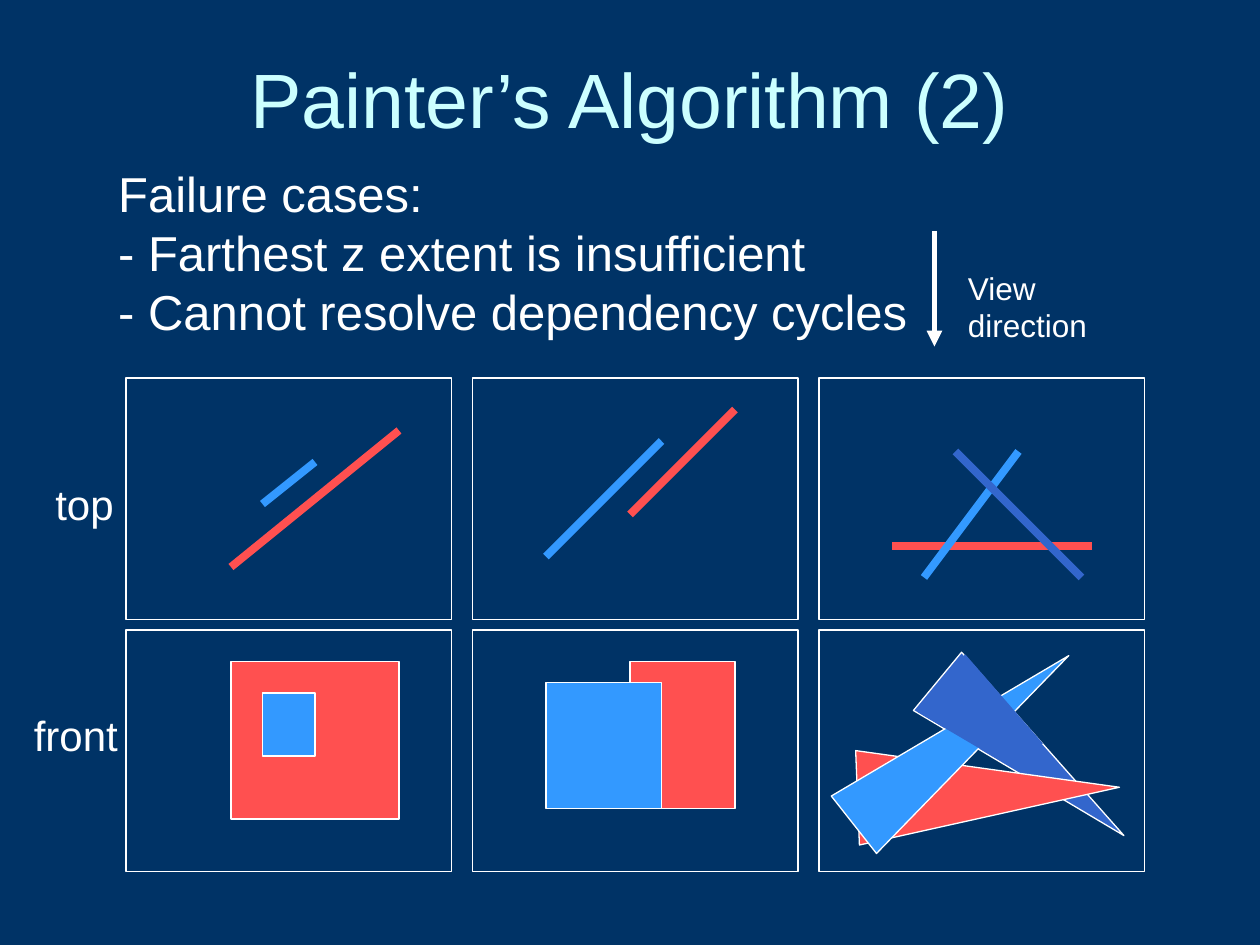
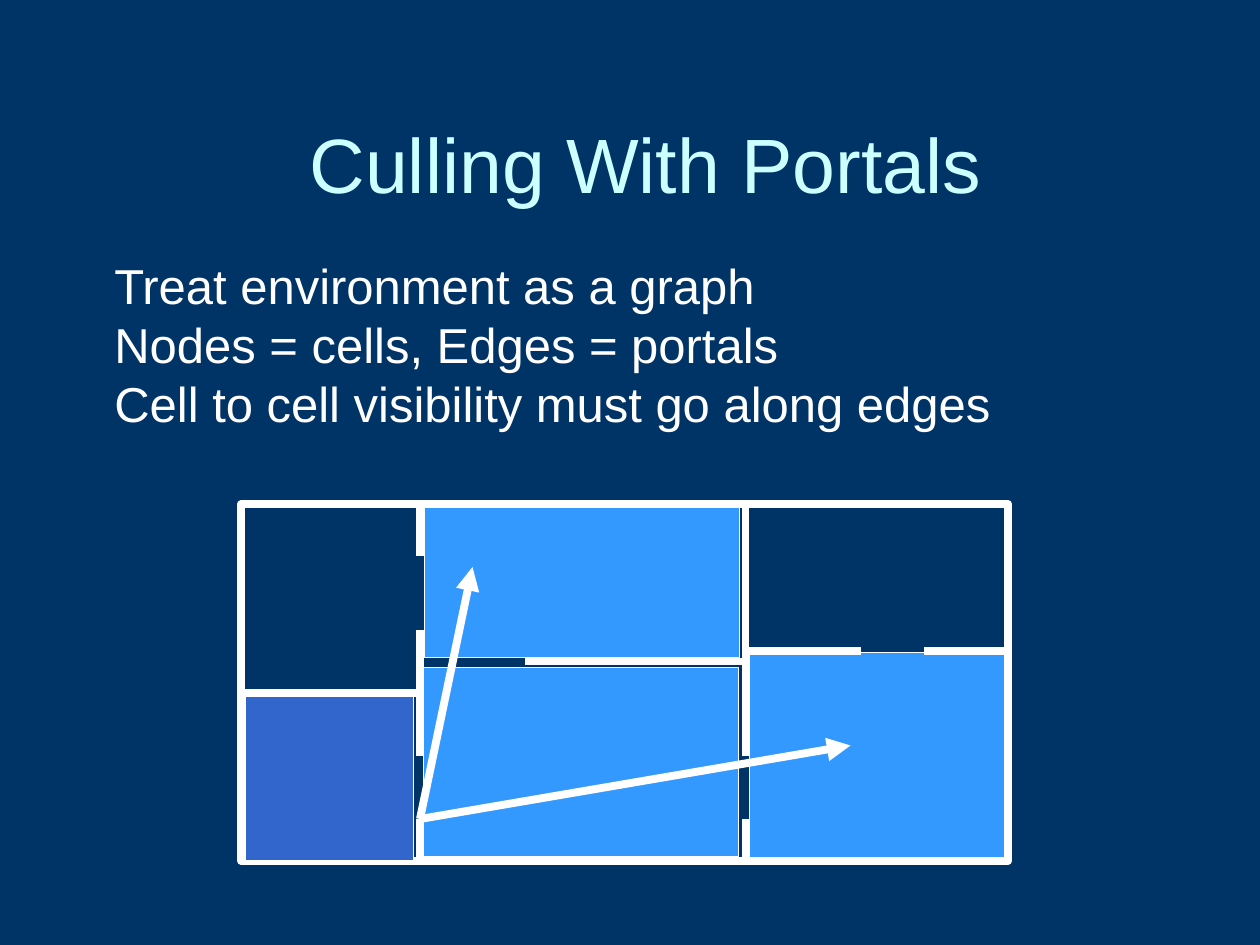
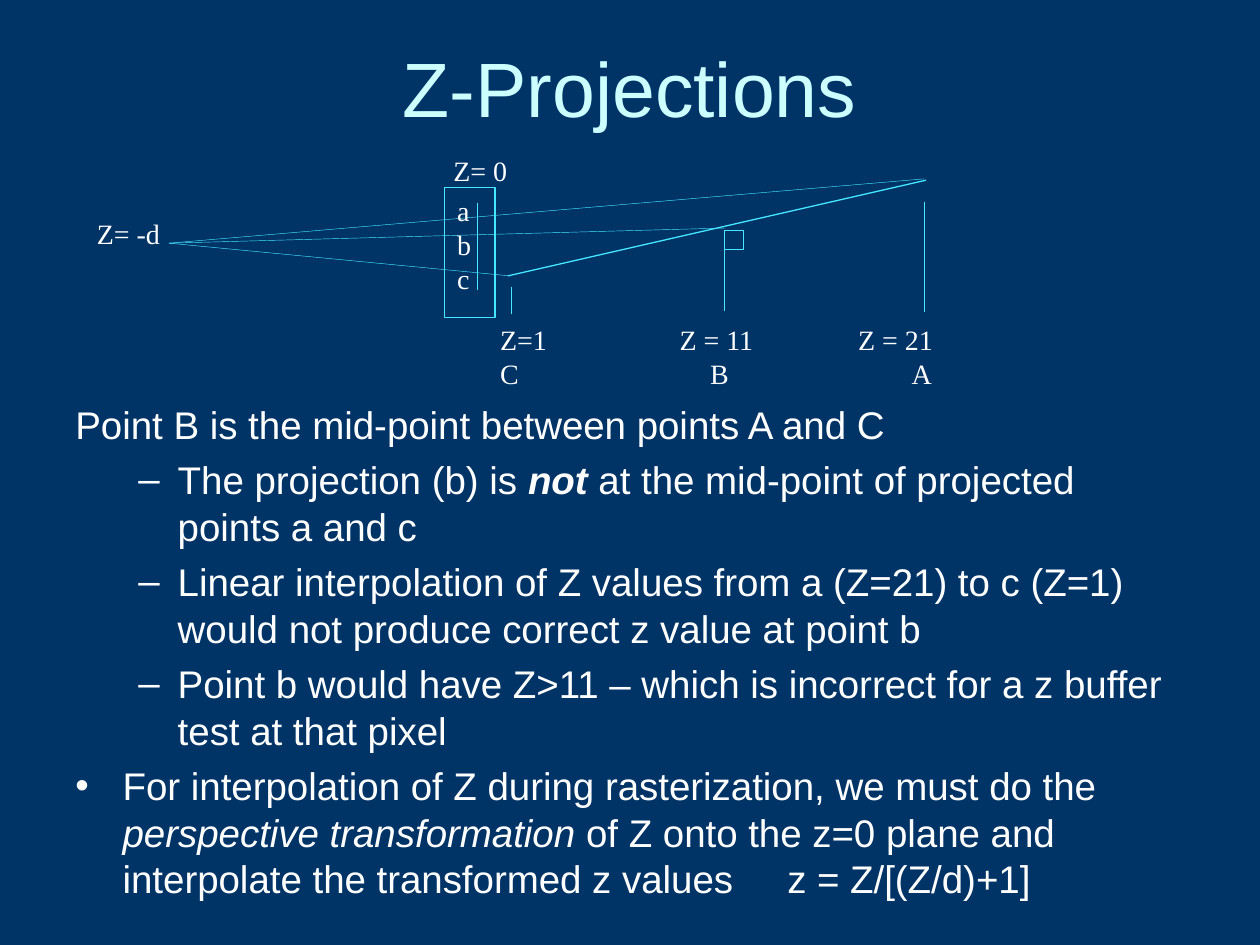
from dataclasses import dataclass
from typing import Iterable

from lxml import etree
from pptx import Presentation
from pptx import util as u
from pptx.dml.color import RGBColor
from pptx.enum import shapes, text
from pptx.oxml.ns import qn

# Shared look: a grid of 120 columns and 90 rows covers each slide
COLS, ROWS = 120, 90
WIDE, HIGH = u.Inches(10), u.Inches(7.5)
NAVY, MINT, WHITE = "003366", "CCFFFF", "FFFFFF"
RED, SKY, BLUE, CYAN = "FF5050", "3399FF", "3366CC", "46E8FF"
SANS, SERIF = "Arial", "Times New Roman"
THIN, HAIR, THICK = 0.75, 0.25, 4.5


@dataclass(frozen=True)
class Box:
    x: float
    y: float
    w: float
    h: float
    fill: str = ""
    line: str = WHITE
    weight: float = THIN
    turn: float = 0
    kind: shapes.MSO_SHAPE = shapes.MSO_SHAPE.RECTANGLE


@dataclass(frozen=True)
class Line:
    x1: float
    y1: float
    x2: float
    y2: float
    color: str = WHITE
    weight: float = THICK
    arrow: bool = False


@dataclass(frozen=True)
class Run:
    words: str
    bold: bool = False
    slant: bool = False


@dataclass(frozen=True)
class Para:
    runs: tuple[Run, ...]
    left: float = 0
    hang: float = 0
    mark: str = ""
    space: float = 0
    stops: tuple[float, ...] = ()


@dataclass(frozen=True)
class Font:
    size: float
    face: str = SANS
    color: str = WHITE


def col(n: float) -> int:
    return round(WIDE * n / COLS)


def row(n: float) -> int:
    return round(HIGH * n / ROWS)


def rgb(code: str) -> RGBColor:
    return RGBColor.from_string(code)


def add(node, tag: str, **attrs):
    return etree.SubElement(node, qn(tag), {k: str(v) for k, v in attrs.items()})


def paint(shape, fill: str, line: str, weight: float) -> None:
    shape.shadow.inherit = False
    if fill:
        shape.fill.solid()
        shape.fill.fore_color.rgb = rgb(fill)
    else:
        shape.fill.background()
    shape.line.color.rgb = rgb(line)
    shape.line.width = u.Pt(weight)


def draw_box(slide, box: Box):
    shape = slide.shapes.add_shape(box.kind, col(box.x), row(box.y), col(box.w), row(box.h))
    paint(shape, box.fill, box.line, box.weight)
    shape.rotation = box.turn
    return shape


def draw_line(slide, line: Line) -> None:
    link = slide.shapes.add_connector(shapes.MSO_CONNECTOR.STRAIGHT, col(line.x1),
                                      row(line.y1), col(line.x2), row(line.y2))
    link.line.color.rgb = rgb(line.color)
    link.line.width = u.Pt(line.weight)
    if line.arrow:
        add(link.line._get_or_add_ln(), "a:tailEnd", type="triangle")
    add(link._element.spPr, "a:effectLst")


def draw(slide, parts: Iterable[Box | Line]) -> None:
    for part in parts:
        (draw_box if isinstance(part, Box) else draw_line)(slide, part)


def plain(*lines: str) -> list[Para]:
    return [Para((Run(line),)) for line in lines]


def write(frame, paras: list[Para], font: Font, align=text.PP_ALIGN.LEFT) -> None:
    for n, para in enumerate(paras):
        p = frame.add_paragraph() if n else frame.paragraphs[0]
        p.alignment = align
        p.space_before = u.Pt(para.space)
        props = p._p.get_or_add_pPr()
        if para.left:
            props.set("marL", str(col(para.left)))
            props.set("indent", str(-col(para.hang)))
        if para.mark:
            add(add(props, "a:buClr"), "a:srgbClr", val=font.color)
            add(props, "a:buFont", typeface=SANS)
            add(props, "a:buChar", char=para.mark)
        if para.stops:
            tabs = add(props, "a:tabLst")
            for stop in para.stops:
                add(tabs, "a:tab", pos=col(stop), algn="l")
        for run in para.runs:
            r = p.add_run()
            r.text = run.words
            r.font.name, r.font.size = font.face, u.Pt(font.size)
            r.font.color.rgb = rgb(font.color)
            r.font.bold, r.font.italic = run.bold, run.slant


def label(slide, x: float, y: float, w: float, h: float, paras: list[Para], font: Font):
    frame = slide.shapes.add_textbox(col(x), row(y), col(w), row(h)).text_frame
    frame.word_wrap = True
    write(frame, paras, font)
    return frame


def start(deck, title: str, x: float, y: float, w: float, h: float):
    slide = deck.slides.add_slide(deck.slide_layouts[6])
    frame = label(slide, x, y, w, h, [], Font(44))
    frame.vertical_anchor = text.MSO_ANCHOR.MIDDLE
    write(frame, plain(title), Font(44, color=MINT), text.PP_ALIGN.CENTER)
    return slide


# Slide 1: three failure cases, seen from the top and from the front
def painter(deck) -> None:
    slide = start(deck, "Painter’s Algorithm (2)", 6, 3.6, 108, 11.4)
    spike = shapes.MSO_SHAPE.ISOSCELES_TRIANGLE
    draw(slide, [Box(60, 63, 10, 14, RED), Box(22, 63, 16, 15, RED), Box(25, 66, 5, 6, SKY)])
    draw(slide, [Box(12 + 33 * c, 36 + 24 * r, 31, 23) for c in range(3) for r in range(2)])
    draw(slide, [
        Line(22, 54, 38, 41, RED),
        Line(25, 48, 30, 44, SKY),
        Line(52, 53, 63, 42, SKY),
        Line(60, 49, 70, 39, RED),
        Box(52, 65, 11, 12, SKY),
        Line(85, 52, 104, 52, RED),
        Line(88, 55, 97, 43, SKY),
        Line(91, 43, 103, 55, BLUE),
        Box(94.56, 60.72, 7.2, 23.04, BLUE, turn=129.6, kind=spike),
        Box(89.64, 63, 9, 24.96, RED, turn=87.7, kind=spike),
        Box(88.08, 57.48, 6.96, 26.04, SKY, turn=51.8, kind=spike),
    ])
    # Patch that closes the cycle of overlaps
    patch = [(col(x), row(y)) for x, y in
             ((87.48, 67.8), (97.08, 73.44), (99.24, 70.8), (91.92, 62.4))]
    form = slide.shapes.build_freeform(*patch[0])
    form.add_line_segments(patch[1:], close=True)
    paint(form.convert_to_shape(), BLUE, BLUE, 0)

    label(slide, 10.08, 15, 79, 18, plain(
        "Failure cases:",
        "- Farthest z extent is insufficient",
        "- Cannot resolve dependency cycles"), Font(28))
    label(slide, 4.08, 45, 9, 6, plain("top"), Font(24))
    label(slide, 2.04, 67, 12, 6, plain("front"), Font(24))
    label(slide, 91, 25, 16, 8.4, plain("View direction"), Font(18))
    draw(slide, [Line(89, 22, 89, 33, weight=3, arrow=True)])


# Slide 2: floor plan with cells, walls and lines of sight
def portals(deck) -> None:
    slide = start(deck, "Culling With Portals", 9, 8, 105, 15)
    label(slide, 9.72, 23.76, 95, 18, plain(
        "Treat environment as a graph",
        "Nodes = cells, Edges = portals",
        "Cell to cell visibility must go along edges"), Font(28))
    cells = [(71.4, 62.16, 24.6, 19.56), (40.44, 48, 30, 14.64), (40.32, 63.6, 30, 18)]
    draw(slide, [Box(*cell, SKY) for cell in cells])
    draw(slide, [Box(23, 48, 73, 34, weight=THICK)])
    upright = [(40, 48, 53), (40, 60, 66), (40, 66, 72), (40, 78, 82),
               (71, 48, 72), (71, 78, 82)]
    level = [(66, 23, 40), (62, 71, 82), (62, 88, 96), (63, 50, 71)]
    draw(slide, [Line(x, top, x, end) for x, top, end in upright])
    draw(slide, [Line(left, y, end, y) for y, left, end in level])
    draw(slide, [Box(23.4, 66.36, 15.96, 15.6, BLUE)])
    draw(slide, [Line(40, 78, x, y, arrow=True) for x, y in ((81, 71), (45, 54))])


# Slide 3: projection sketch above the notes on interpolation
def depth(deck) -> None:
    slide = start(deck, "Z-Projections", 6, 3.6, 108, 9.36)

    def dash(*runs: Run) -> Para:
        return Para(runs, 9.75, 3.75, "–", 5.5)

    label(slide, 6, 37.56, 108, 49.44, [
        Para((Run("Point B is the mid-point between points A and C"),), 4.5, 4.5),
        dash(Run("The projection (b) is "), Run("not", True, True),
             Run(" at the mid-point of projected points a and c")),
        dash(Run("Linear interpolation of Z values from a (Z=21) to c (Z=1) "
                 "would not produce correct z value at point b")),
        dash(Run("Point b would have Z>11 – which is incorrect for a z buffer "
                 "test at that pixel")),
        Para((Run("For interpolation of Z during rasterization, we must do the "),
              Run("perspective transformation ", slant=True),
              Run("of Z onto the z=0 plane and interpolate the transformed z values"
                  "\tz = Z/[(Z/d)+1]")), 4.5, 4.5, "•", 5.5, (67.8,)),
    ], Font(22))

    # Object, image plane, rays and depth marks
    rays = [(48.6, 26.28), (88, 17.04), (69, 21.72)]
    marks = [(48.72, 27.36, 29.88), (69, 23.64, 29.64), (88, 19.2, 29.76)]
    draw(slide, [Line(48.36, 26.28, 88.2, 17.16, CYAN, THIN),
                 Line(45.48, 19.32, 45.48, 27.6, CYAN, THIN)])
    draw(slide, [Line(x, y, 16.1, 23.16, CYAN, HAIR) for x, y in rays])
    draw(slide, [Line(x, top, x, end, CYAN, HAIR) for x, top, end in marks])
    draw(slide, [Box(69, 21.96, 1.8, 1.8, line=CYAN)])
    small = Font(16, SERIF)
    plane = draw_box(slide, Box(42.36, 17.88, 4.8, 12.36, line=CYAN)).text_frame
    plane.word_wrap = True
    plane.vertical_anchor = text.MSO_ANCHOR.TOP
    write(plane, plain("a", "b", "c"), small)
    label(slide, 46.44, 30.12, 45, 6.96, [
        Para((Run("Z=1\tZ = 11\tZ = 21"),), stops=(17.1, 34.1)),
        Para((Run("C\tB\tA"),), stops=(20, 39.2)),
    ], small)
    label(slide, 8.04, 20.04, 10, 2.88, plain("Z= -d"), small)
    label(slide, 42, 14.04, 10, 2.88, plain("Z= 0"), small)


def main() -> None:
    deck = Presentation()
    deck.slide_width, deck.slide_height = WIDE, HIGH
    back = deck.slide_master.background.fill
    back.solid()
    back.fore_color.rgb = rgb(NAVY)
    for build in (painter, portals, depth):
        build(deck)
    deck.save("out.pptx")


if __name__ == "__main__":
    main()
